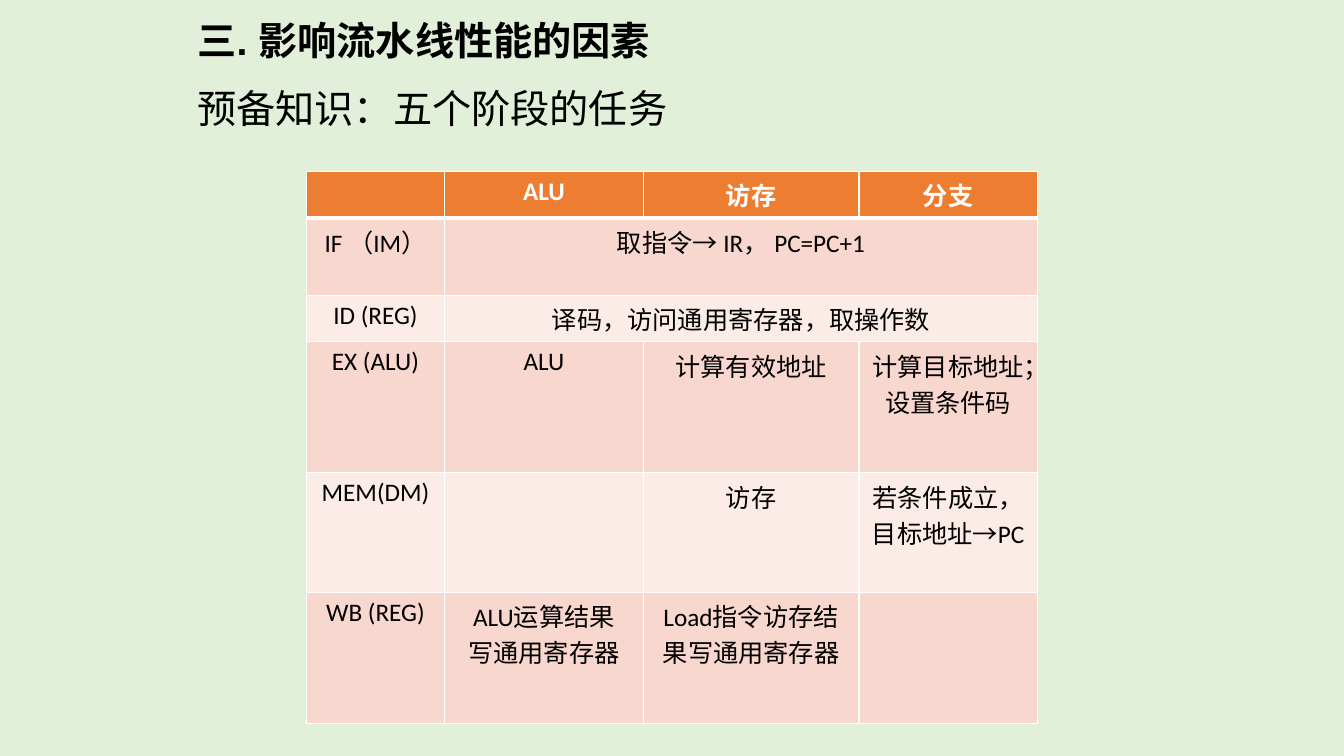
from lxml import etree
from pptx import Presentation
from pptx.dml.color import RGBColor
from pptx.enum.text import MSO_ANCHOR, PP_ALIGN
from pptx.oxml.ns import qn
from pptx.util import Inches, Pt

LEFT, CENTER = PP_ALIGN.LEFT, PP_ALIGN.CENTER
TOP, MIDDLE = MSO_ANCHOR.TOP, MSO_ANCHOR.MIDDLE
WHITE, BLACK, ORANGE = "FFFFFF", "000000", "ED7D31"
BANDS = ["FCECE8", "F8D7CE"]


def color(hue):
    """Turn a hex string into a colour."""
    return RGBColor.from_string(hue)


def style(frame, align, size, face, hue, bold):
    """Format all paragraphs and runs of a text frame."""
    for para in frame.paragraphs:
        para.alignment = align
        for run in para.runs:
            font = run.font
            font.size, font.name, font.bold = Pt(size), face, bold
            font.color.rgb = color(hue)


deck = Presentation()
deck.slide_width, deck.slide_height = Inches(13.33), Inches(7.5)
# One percent of the slide's width and height
wide, high = deck.slide_width / 100, deck.slide_height / 100

slide = deck.slides.add_slide(deck.slide_layouts[5])
slide.background.fill.solid()
slide.background.fill.fore_color.rgb = color("E2F0D9")

# Title and lead line share one left edge and width
title = slide.shapes.title
lead = slide.shapes.add_textbox(0, 0, 0, 0)
lines = [
    (title, "三. 影响流水线性能的因素", 1.73, 7.87, MIDDLE, "Arial", True, 0),
    (lead, "预备知识：五个阶段的任务", 11.2, 8.4, TOP, "Calibri", False, 10),
]
for box, text, top, tall, anchor, face, bold, gap in lines:
    box.left, box.width = int(13.95 * wide), int(64.67 * wide)
    box.top, box.height = int(top * high), int(tall * high)
    frame = box.text_frame
    frame.text = text
    frame.word_wrap = True
    frame.vertical_anchor = anchor
    para = frame.paragraphs[0]
    para.line_spacing, para.space_before = 0.9, Pt(gap)
    style(frame, LEFT, 28, face, BLACK, bold)

# Stages of the pipeline against kinds of instruction
rows = [
    ["", "ALU", "访存", "分支"],
    ["IF （IM）", "取指令→ IR， PC=PC+1", "", ""],
    ["ID (REG)", "译码，访问通用寄存器，取操作数", "", ""],
    ["EX (ALU)", "ALU", "计算有效地址", "计算目标地址；设置条件码"],
    ["MEM(DM)", "", "访存", "若条件成立，目标地址→PC"],
    ["WB (REG)", "ALU运算结果\n写通用寄存器", "Load指令访存结果写通用寄存器", ""],
]
cols = [10.28, 14.78, 16.05, 13.28]
# Each row is tall enough for its longest cell
talls = [6.15, 10.25, 6.15, 17.33, 15.8, 17.33]
table = slide.shapes.add_table(
    len(rows), len(cols), int(22.8 * wide), int(22.67 * high),
    int(sum(cols) * wide), int(sum(talls) * high)).table
for col, width in zip(table.columns, cols):
    col.width = int(width * wide)

for r, (row, tall) in enumerate(zip(rows, talls)):
    table.rows[r].height = int(tall * high)
    head = r == 0
    for c, text in enumerate(row):
        cell = table.cell(r, c)
        cell.text_frame.text = text
        style(cell.text_frame, CENTER, 18, "Calibri",
              WHITE if head else BLACK, head)
        props = cell._tc.get_or_add_tcPr()
        for side in "LRTB":
            thick = (r, side) in [(0, "B"), (1, "T")]
            line = etree.SubElement(props, qn("a:ln" + side),
                                    w=str(Pt(3 if thick else 1)))
            fill = etree.SubElement(line, qn("a:solidFill"))
            etree.SubElement(fill, qn("a:srgbClr"), val=WHITE)
        cell.fill.solid()
        cell.fill.fore_color.rgb = color(ORANGE if head else BANDS[r % 2])

# Fetch and decode are the same for every kind
for r in (1, 2):
    table.cell(r, 1).merge(table.cell(r, 3))

deck.save("out.pptx")
